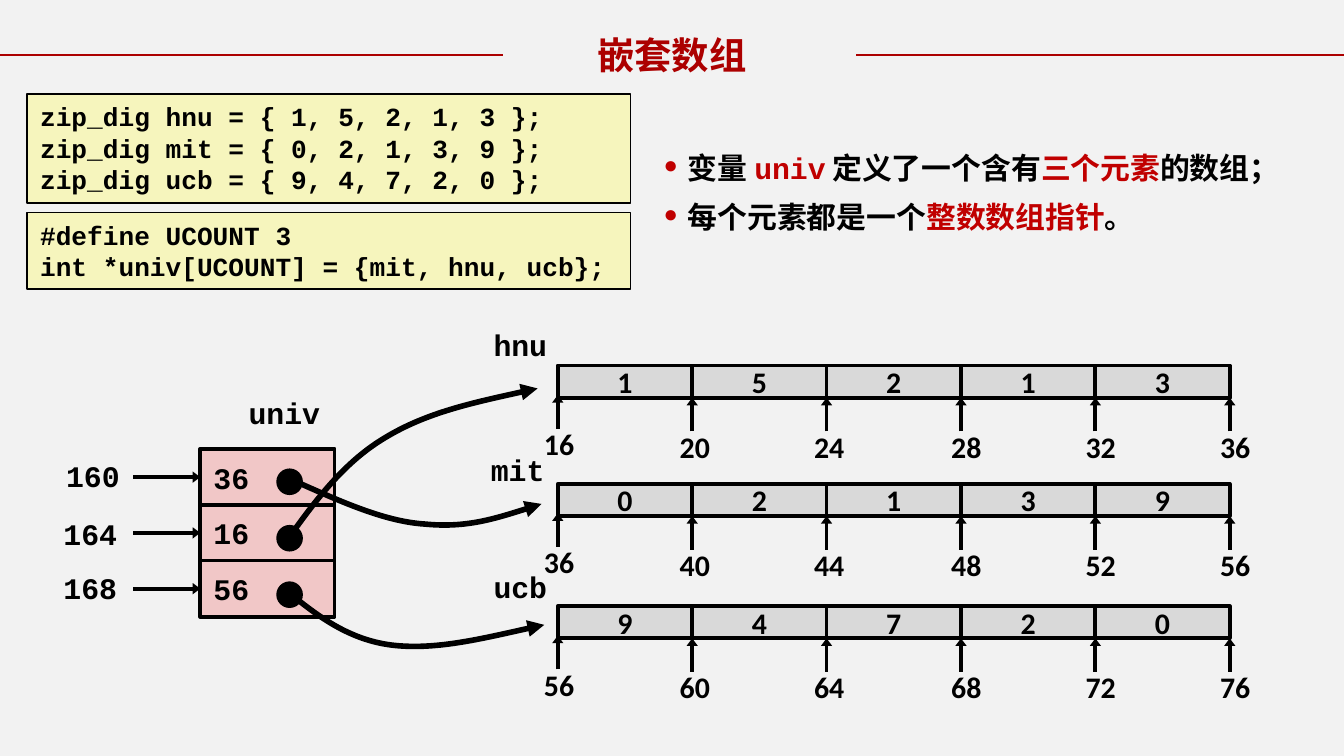
"""Build the slide on nested arrays: code, key points and a pointer diagram."""
import pptx
import pptx.dml.color
import pptx.enum.shapes
import pptx.enum.text
import pptx.oxml.ns
import pptx.util
from lxml import etree
from pptx.util import Inches

COLORS = {
    "background": "F2F2F2", "title": "AC0000", "code": "F6F5BD", "accent": "C00000",
    "pointer": "F1C7C7", "cell": "D9D9D9", "ink": "000000",
}
RGB = {part: pptx.dml.color.RGBColor.from_string(value) for part, value in COLORS.items()}
MONO, SANS, CJK = "Courier New", "Calibri", "Noto Sans CJK SC"
ALIGN = pptx.enum.text.PP_ALIGN
ANCHOR = pptx.enum.text.MSO_ANCHOR
GROW = pptx.enum.text.MSO_AUTO_SIZE.SHAPE_TO_FIT_TEXT
SHAPE = pptx.enum.shapes.MSO_SHAPE
STRAIGHT = pptx.enum.shapes.MSO_CONNECTOR.STRAIGHT
qn = pptx.oxml.ns.qn


def write(shape, lines, font, align=ALIGN.LEFT, size=16, color="ink", wrap=False, grow=False):
    frame = shape.text_frame
    frame.word_wrap = wrap
    if grow:
        frame.auto_size = GROW
    frame.text = "\n".join(lines)
    for paragraph in frame.paragraphs:
        paragraph.alignment = align
        paragraph.font.size = pptx.util.Pt(size)
        paragraph.font.bold = True
        paragraph.font.color.rgb = RGB[color]
        paragraph.font.name = font


def stroke(shape, color="ink", width=2, head_length=None):
    shape.line.color.rgb = RGB[color]
    shape.line.width = pptx.util.Pt(width)
    properties = shape._element.spPr
    if head_length:
        outline = properties.find(qn("a:ln"))
        etree.SubElement(outline, qn("a:tailEnd"), type="triangle", w="med", len=head_length)
    etree.SubElement(properties, qn("a:effectLst"))


deck = pptx.Presentation()
deck.slide_width, deck.slide_height = Inches(10), Inches(10) * 9 // 16
slide = deck.slides.add_slide(deck.slide_layouts[6])
slide.background.fill.solid()
slide.background.fill.fore_color.rgb = RGB["background"]

for start, end in ((0, 3.74), (6.37, 10)):
    title_rule = slide.shapes.add_connector(
        STRAIGHT, Inches(start), Inches(0.41), Inches(end), Inches(0.41))
    stroke(title_rule, "title", 1.5)
title = slide.shapes.add_textbox(Inches(4.17), Inches(0.19), Inches(1.66), Inches(0.44))
write(title, ["嵌套数组"], CJK, ALIGN.CENTER, 20, "title", wrap=True, grow=True)
title_font = title.text_frame.paragraphs[0]._p.pPr.find(qn("a:defRPr"))
etree.SubElement(title_font, qn("a:ea"), typeface=CJK)

listings = (
    (0.7, 0.81, ["zip_dig hnu = { 1, 5, 2, 1, 3 };",
                 "zip_dig mit = { 0, 2, 1, 3, 9 };",
                 "zip_dig ucb = { 9, 4, 7, 2, 0 };"]),
    (1.58, 0.57, ["#define UCOUNT 3", "int *univ[UCOUNT] = {mit, hnu, ucb};"]),
)
for top, height, code in listings:
    listing = slide.shapes.add_shape(
        SHAPE.RECTANGLE, Inches(0.2), Inches(top), Inches(4.49), Inches(height))
    listing.fill.solid()
    listing.fill.fore_color.rgb = RGB["code"]
    stroke(listing, width=0.75)
    listing.text_frame.vertical_anchor = ANCHOR.TOP
    write(listing, code, MONO, size=14, wrap=True, grow=True)

points = (
    (("变量 ", SANS, "ink"), ("univ", MONO, "accent"), (" 定义了一个含有", SANS, "ink"),
     ("三个元素", SANS, "accent"), ("的数组；", SANS, "ink")),
    (("每个元素都是一个", SANS, "ink"), ("整数数组指针", SANS, "accent"), ("。", SANS, "ink")),
)
key_points = slide.shapes.add_textbox(Inches(4.84), Inches(1.01), Inches(5.28), Inches(0.81))
key_points.text_frame.word_wrap = True
for index, phrases in enumerate(points):
    frame = key_points.text_frame
    point = frame.add_paragraph() if index else frame.paragraphs[0]
    point.line_spacing = 1.2
    point.space_before = pptx.util.Pt(3.2)
    layout = point._p.get_or_add_pPr()
    layout.set("marL", str(Inches(0.18)))
    layout.set("indent", str(-Inches(0.18)))
    bullet_color = etree.SubElement(layout, qn("a:buClr"))
    etree.SubElement(bullet_color, qn("a:srgbClr"), val=COLORS["accent"])
    etree.SubElement(layout, qn("a:buSzPct"), val="80000")
    etree.SubElement(layout, qn("a:buFont"), typeface=MONO)
    etree.SubElement(layout, qn("a:buChar"), char="●")
    point.font.size = pptx.util.Pt(16)
    point.font.bold = True
    for text, font, color in phrases:
        phrase = point.add_run()
        phrase.text = text
        phrase.font.name = font
        phrase.font.color.rgb = RGB[color]
        etree.SubElement(phrase._r.rPr, qn("a:ea"), typeface=CJK)

univ = slide.shapes.add_group_shape().shapes
univ_name = univ.add_textbox(Inches(1.74), Inches(2.89), Inches(0.74), Inches(0.37))
write(univ_name, ["univ"], MONO, ALIGN.RIGHT, grow=True)
pointers = (("160", 0.38, 3.36, "36"), ("164", 0.36, 3.79, "16"), ("168", 0.36, 4.19, "56"))
for row, (address, left, address_top, target) in enumerate(pointers):
    top = 3.34 + 0.415 * row
    pointer = univ.add_shape(
        SHAPE.RECTANGLE, Inches(1.49), Inches(top), Inches(1), Inches(0.42))
    pointer.fill.solid()
    pointer.fill.fore_color.rgb = RGB["pointer"]
    stroke(pointer)
    write(pointer, [target], MONO)
    address_label = univ.add_textbox(
        Inches(left), Inches(address_top), Inches(0.61), Inches(0.37))
    write(address_label, [address], MONO, ALIGN.RIGHT, grow=True)
    middle = Inches(top + 0.21)
    address_arrow = univ.add_connector(STRAIGHT, Inches(0.99), middle, Inches(1.49), middle)
    address_arrow.end_connect(pointer, 1)
    stroke(address_arrow, head_length="sm")
    dot = univ.add_shape(
        SHAPE.OVAL, Inches(2.07), Inches(3.5 + 0.42 * row), Inches(0.17), Inches(0.17))
    dot.fill.solid()
    dot.fill.fore_color.rgb = RGB["ink"]
    stroke(dot)

arrays = (
    ("hnu", 3.56, 2.38, 2.72, 16, "15213"),
    ("mit", 3.54, 3.31, 3.6, 36, "02139"),
    ("ucb", 3.56, 4.18, 4.51, 56, "94720"),
)
label_centers = (4.16, 5.17, 6.17, 7.19, 8.19, 9.19)
for name, name_left, name_top, top, first_address, digits in arrays:
    array_name = slide.shapes.add_textbox(
        Inches(name_left), Inches(name_top), Inches(0.61), Inches(0.37))
    write(array_name, [name], MONO, ALIGN.RIGHT, grow=True)
    array = slide.shapes.add_group_shape().shapes
    for index, digit in enumerate(digits):
        cell = array.add_shape(
            SHAPE.RECTANGLE, Inches(4.15 + index), Inches(top), Inches(1), Inches(0.24))
        cell.fill.solid()
        cell.fill.fore_color.rgb = RGB["cell"]
        stroke(cell)
        write(cell, [digit], SANS, ALIGN.CENTER)
    for index, center in enumerate(label_centers):
        width, lift = (1.08, 0) if index else (0.73, 0.02)
        offset = array.add_textbox(
            Inches(center - width / 2), Inches(top + 0.42 - lift), Inches(width), Inches(0.37))
        write(offset, [str(first_address + 4 * index)], SANS, ALIGN.CENTER, wrap=True, grow=True)
        edge = Inches(4.15 + index)
        offset_arrow = array.add_connector(
            STRAIGHT, edge, Inches(top + 0.49 - lift), edge, Inches(top + 0.24 - lift))
        stroke(offset_arrow, head_length="sm")

links = (
    ((2.15, 4), (2.35, 3.72), (2.56, 3.44), (2.86, 3.26), (3.17, 3.07), (3.59, 2.98), (4, 2.89)),
    ((2.17, 3.57), (2.51, 3.72), (2.85, 3.88), (3.16, 3.9), (3.47, 3.93), (3.75, 3.84),
     (4.03, 3.75)),
    ((2.15, 4.41), (2.37, 4.59), (2.6, 4.76), (2.91, 4.8), (3.23, 4.84), (3.64, 4.74),
     (4.05, 4.65)),
)
for knots in links:
    (start_x, start_y), *controls = [(Inches(x), Inches(y)) for x, y in knots]
    builder = slide.shapes.build_freeform(start_x, start_y)
    builder.add_line_segments(controls, close=False)
    link = builder.convert_to_shape()
    outline = next(link._element.iter(qn("a:path")))
    segments = outline.findall(qn("a:lnTo"))
    for first in range(0, len(segments), 3):
        curve = etree.SubElement(outline, qn("a:cubicBezTo"))
        for segment in segments[first:first + 3]:
            curve.append(segment[0])
            outline.remove(segment)
    link.fill.background()
    stroke(link, width=3, head_length="med")

deck.save("out.pptx")
